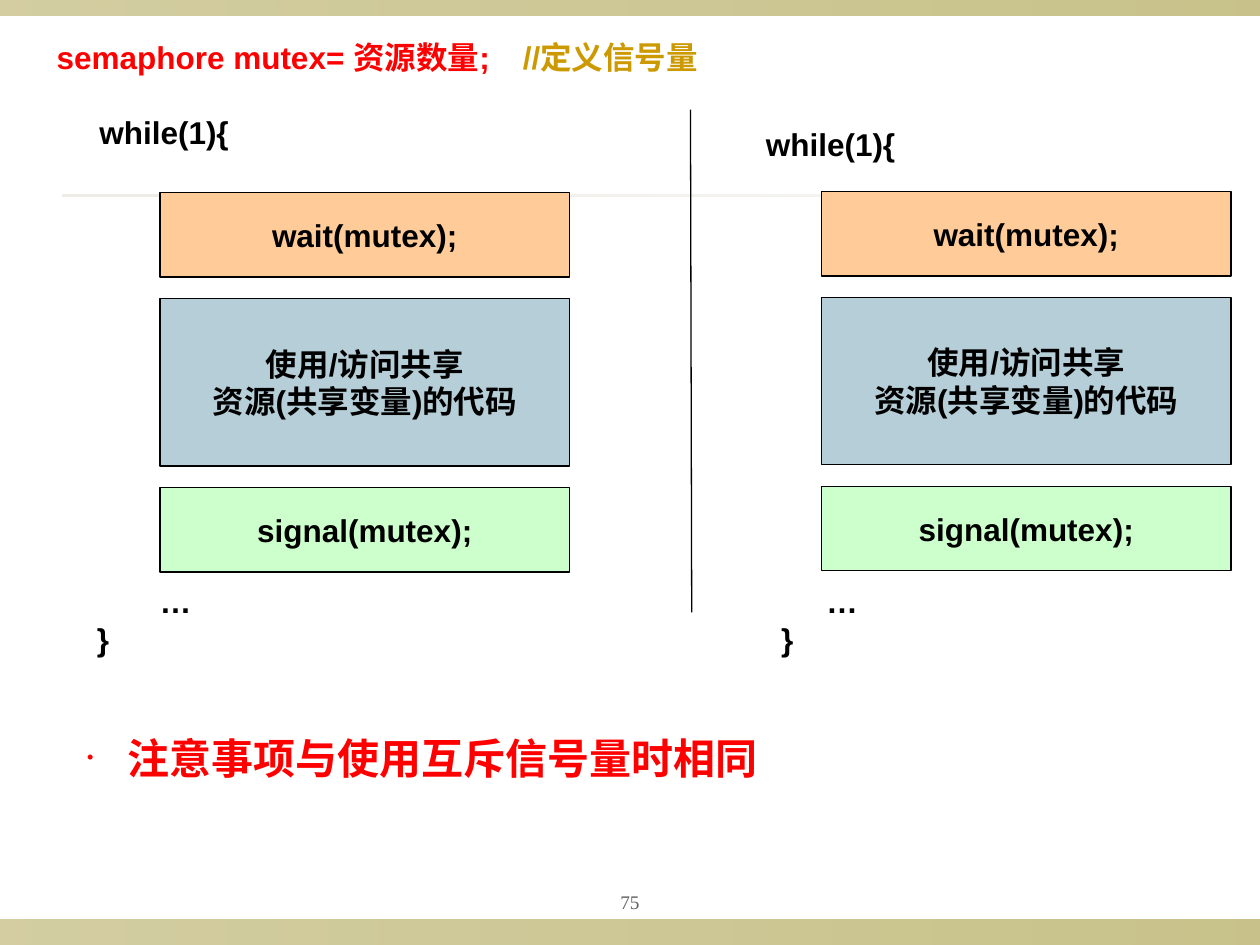
from dataclasses import dataclass

from lxml import etree
from pptx import Presentation
from pptx import util as u
from pptx.dml.color import RGBColor
from pptx.enum import shapes, text
from pptx.oxml.ns import qn

COLOURS = {
    "black": "000000", "red": "FF0000", "gold": "CC9900", "grey": "636363",
    "wait": "FFCC99", "access": "B6CED7", "signal": "CCFFCC",
    "band": "918415", "rule": "DCD9CC",
}


@dataclass(frozen=True)
class Run:
    words: str
    colour: str = "black"
    size: float = 18
    font: str = "Arial"
    bold: bool = True


@dataclass(frozen=True)
class Step:
    lines: tuple[str, ...]
    colour: str
    offset: float
    height: float


@dataclass(frozen=True)
class Process:
    loop_left: float
    loop_top: float
    steps_left: float
    steps_top: float
    end_left: float
    end_indent: float


@dataclass(frozen=True)
class Strip:
    left: float
    top: float
    width: float
    height: float
    colour: str
    opacities: tuple[int, int]


STEPS = (
    Step(("wait(mutex);",), "wait", 0, 0.67),
    Step(("使用/访问共享", "资源(共享变量)的代码"), "access", 0.84, 1.33),
    Step(("signal(mutex);",), "signal", 2.34, 0.67),
)
PROCESSES = (
    Process(0.69, 0.85, 1.27, 1.53, 0.67, 0.5),
    Process(5.98, 0.94, 6.52, 1.52, 6.1, 0.36),
)
STRIPS = (
    Strip(0, 7.3, 10, 0.2, "band", (40, 50)),
    Strip(0, 0, 10, 0.12, "band", (40, 50)),
    Strip(0.5, 1.54, 9, 0.02, "rule", (50, 20)),
)


def rgb(name: str) -> RGBColor:
    return RGBColor.from_string(COLOURS[name])


def write(frame, lines, align=text.PP_ALIGN.LEFT, anchor=text.MSO_ANCHOR.MIDDLE) -> None:
    frame.word_wrap = True
    frame.auto_size = text.MSO_AUTO_SIZE.NONE
    frame.vertical_anchor = anchor
    for index, runs in enumerate(lines):
        paragraph = frame.add_paragraph() if index else frame.paragraphs[0]
        paragraph.alignment = align
        for item in runs:
            run = paragraph.add_run()
            run.text = item.words
            run.font.size = u.Pt(item.size)
            run.font.name = item.font
            run.font.bold = item.bold
            run.font.color.rgb = rgb(item.colour)


def add_words(slide, left: float, top: float, width: float, height: float, lines, **layout):
    box = slide.shapes.add_textbox(*map(u.Inches, (left, top, width, height)))
    write(box.text_frame, lines, **layout)
    return box.text_frame


def add_rectangle(slide, left: float, top: float, width: float, height: float):
    rectangle = slide.shapes.add_shape(
        shapes.MSO_SHAPE.RECTANGLE, *map(u.Inches, (left, top, width, height)))
    rectangle.shadow.inherit = False
    return rectangle


def add_strip(slide, strip: Strip) -> None:
    band = add_rectangle(slide, strip.left, strip.top, strip.width, strip.height)
    band.line.fill.background()
    band.fill.gradient()
    band.fill.gradient_angle = 0
    for stop, opacity in zip(band.fill.gradient_stops, strip.opacities):
        stop.color.rgb = rgb(strip.colour)
    for colour, opacity in zip(band.fill._xPr.iter(qn("a:srgbClr")), strip.opacities):
        etree.SubElement(colour, qn("a:alpha"), val=str(opacity * 1000))


def add_step(slide, process: Process, step: Step) -> None:
    block = add_rectangle(
        slide, process.steps_left, process.steps_top + step.offset, 3.25, step.height)
    block.fill.solid()
    block.fill.fore_color.rgb = rgb(step.colour)
    block.line.color.rgb = rgb("black")
    block.line.width = u.Pt(0.75)
    write(block.text_frame, [[Run(line)] for line in step.lines], text.PP_ALIGN.CENTER)


def add_process(slide, process: Process) -> None:
    add_words(slide, process.loop_left, process.loop_top, 1.58, 0.4,
              [[Run("while(1){")]], anchor=text.MSO_ANCHOR.TOP)
    for step in STEPS:
        add_step(slide, process, step)
    ending = add_words(slide, process.end_left, 4.67, 1.92, 0.5, [[Run("…")], [Run("}")]])
    ending.paragraphs[0]._p.get_or_add_pPr().set("marL", str(u.Inches(process.end_indent)))


def add_declaration(slide) -> None:
    declaration = slide.shapes.title
    declaration.left, declaration.top = u.Inches(0.35), u.Inches(0.2)
    declaration.width, declaration.height = u.Inches(6.79), u.Inches(0.5)
    write(declaration.text_frame,
          [[Run("semaphore mutex= 资源数量;\t", "red"), Run("//定义信号量", "gold")]])
    properties = declaration.text_frame.paragraphs[0]._p.get_or_add_pPr()
    tabs = etree.SubElement(properties, qn("a:tabLst"))
    etree.SubElement(tabs, qn("a:tab"), pos=str(u.Inches(3.7)), algn="l")


def add_divider(slide) -> None:
    divider = slide.shapes.add_connector(
        shapes.MSO_CONNECTOR.STRAIGHT, *map(u.Inches, (5.48, 0.87, 5.49, 4.86)))
    divider.line.color.rgb = rgb("black")
    divider.line.width = u.Pt(0.75)
    etree.SubElement(divider._element.spPr, qn("a:effectLst"))


def add_reminder(slide) -> None:
    reminder = add_words(slide, 0.59, 5.25, 7.34, 1.52,
                         [[Run("注意事项与使用互斥信号量时相同", "red", 24)]])
    properties = reminder.paragraphs[0]._p.get_or_add_pPr()
    properties.set("marL", str(u.Inches(0.32)))
    properties.set("indent", str(-u.Inches(0.32)))
    bullet_colour = etree.SubElement(properties, qn("a:buClr"))
    etree.SubElement(bullet_colour, qn("a:srgbClr"), val=COLOURS["red"])
    etree.SubElement(properties, qn("a:buSzPct"), val="50000")
    etree.SubElement(properties, qn("a:buFont"), typeface="Times New Roman")
    etree.SubElement(properties, qn("a:buChar"), char="•")


def main() -> None:
    deck = Presentation()
    deck.slide_width, deck.slide_height = u.Inches(10), u.Inches(7.5)
    slide = deck.slides.add_slide(deck.slide_layouts[5])
    for strip in STRIPS:
        add_strip(slide, strip)
    add_declaration(slide)
    for process in PROCESSES:
        add_process(slide, process)
    add_divider(slide)
    add_reminder(slide)
    add_words(slide, 4.5, 7, 1, 0.31,
              [[Run("75", "grey", 11, "Times New Roman", False)]], align=text.PP_ALIGN.CENTER)
    deck.save("out.pptx")


if __name__ == "__main__":
    main()
